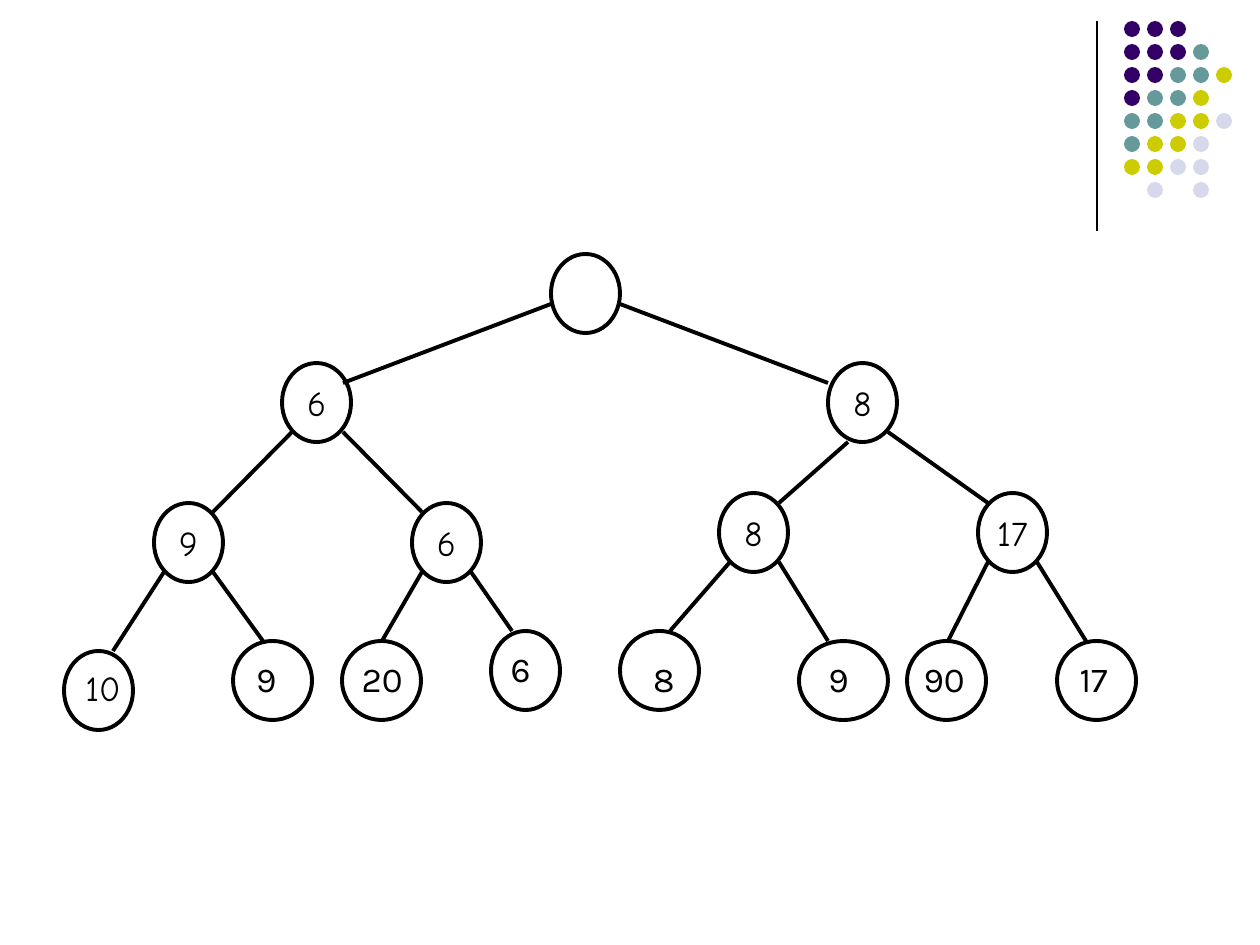
from pptx import Presentation
from pptx.dml.color import RGBColor
from pptx.enum.shapes import MSO_CONNECTOR, MSO_SHAPE
from pptx.enum.text import MSO_ANCHOR, PP_ALIGN
from pptx.oxml.ns import qn
from pptx.util import Emu, Pt
from lxml.etree import SubElement

BLACK = RGBColor(0x00, 0x00, 0x00)
WHITE = RGBColor(0xFF, 0xFF, 0xFF)
PURPLE = RGBColor(0x33, 0x00, 0x66)
TEAL = RGBColor(0x66, 0x99, 0x99)
OLIVE = RGBColor(0xCC, 0xCC, 0x00)
LILAC = RGBColor(0xD8, 0xD8, 0xEC)

DOT_COLORS = {"P": PURPLE, "T": TEAL, "O": OLIVE, "L": LILAC}
DOT_ROWS = ["PPP", "PPPT", "PPTTO", "PTTO", "TTOOL", "TOOL", "OOLL", " L L"]
DOT_LEFT, DOT_TOP, DOT_STEP, DOT_SIZE = 1124, 21, 23, 16

NODE_WIDTH, NODE_HEIGHT = 69, 79
INNER_NODES = [
    (551, 254, ""),
    (828, 363, "8"),
    (282, 363, "6"),
    (154, 503, "9"),
    (412, 503, "6"),
    (719, 493, "8"),
    (978, 493, "17"),
]
LEAVES = [
    (64, 651, 69),
    (233, 641, 79),
    (342, 641, 79),
    (491, 631, 69),
    (620, 631, 79),
    (799, 641, 89),
    (907, 641, 79),
    (1057, 641, 79),
]
BRANCHES = [
    (551, 304, 343, 383),
    (620, 304, 828, 383),
    (292, 432, 213, 512),
    (343, 432, 422, 512),
    (848, 442, 779, 503),
    (888, 432, 988, 503),
    (164, 572, 113, 651),
    (213, 572, 263, 641),
    (422, 572, 382, 641),
    (471, 572, 512, 631),
    (730, 562, 670, 631),
    (779, 562, 828, 641),
    (988, 562, 948, 641),
    (1037, 562, 1086, 641),
]
LABEL_HEIGHT = 55
LEAF_LABELS = [
    (44, 660, 89, "10", "Comic Neue"),
    (223, 651, 66, "9", "Karla"),
    (323, 651, 92, "20", "Karla"),
    (451, 641, 92, "6", "Karla"),
    (581, 651, 106, "8", "Karla"),
    (769, 651, 92, "9", "Karla"),
    (898, 651, 79, "90", "Karla"),
    (988, 651, 132, "17", "Karla"),
]


def px(value):
    return Emu(round(value * 914400 / 126))


class TreeSlide:
    node_line = Pt(2.25)
    text_size = Pt(20)
    node_font = "Comic Neue"

    def __init__(self, slide):
        self.shapes = slide.shapes

    def ellipse(self, left, top, width, height, color):
        shape = self.shapes.add_shape(
            MSO_SHAPE.OVAL, px(left), px(top), px(width), px(height))
        shape.shadow.inherit = False
        shape.fill.solid()
        shape.fill.fore_color.rgb = color
        return shape

    def dot(self, left, top, color):
        self.ellipse(left, top, DOT_SIZE, DOT_SIZE, color).line.fill.background()

    def node(self, left, top, width=NODE_WIDTH, text=""):
        shape = self.ellipse(left, top, width, NODE_HEIGHT, WHITE)
        shape.line.color.rgb = BLACK
        shape.line.width = self.node_line
        if text:
            frame = shape.text_frame
            frame.word_wrap = False
            frame.vertical_anchor = MSO_ANCHOR.MIDDLE
            self.add_text(frame, text, PP_ALIGN.CENTER, self.node_font)

    def line(self, x1, y1, x2, y2, width):
        connector = self.shapes.add_connector(
            MSO_CONNECTOR.STRAIGHT, px(x1), px(y1), px(x2), px(y2))
        connector.line.color.rgb = BLACK
        connector.line.width = width
        SubElement(connector._element.spPr, qn("a:effectLst"))

    def label(self, left, top, width, text, font):
        box = self.shapes.add_textbox(px(left), px(top), px(width), px(LABEL_HEIGHT))
        box.text_frame.word_wrap = True
        self.add_text(box.text_frame, text, PP_ALIGN.RIGHT, font)

    def add_text(self, frame, text, align, font):
        para = frame.paragraphs[0]
        para.alignment = align
        span = para.add_run()
        span.text = text
        span.font.name = font
        span.font.size = self.text_size
        span.font.color.rgb = BLACK


def main():
    deck = Presentation()
    deck.slide_width, deck.slide_height = px(1260), px(945)
    page = TreeSlide(deck.slides.add_slide(deck.slide_layouts[6]))

    page.line(1097, 21, 1097, 231, Pt(0.75))
    for row, codes in enumerate(DOT_ROWS):
        for column, code in enumerate(codes):
            if code in DOT_COLORS:
                page.dot(DOT_LEFT + column * DOT_STEP, DOT_TOP + row * DOT_STEP,
                         DOT_COLORS[code])

    for left, top, text in INNER_NODES:
        page.node(left, top, text=text)
    for leaf in LEAVES:
        page.node(*leaf)
    for branch in BRANCHES:
        page.line(*branch, page.node_line)
    for label in LEAF_LABELS:
        page.label(*label)

    deck.save("out.pptx")


if __name__ == "__main__":
    main()
